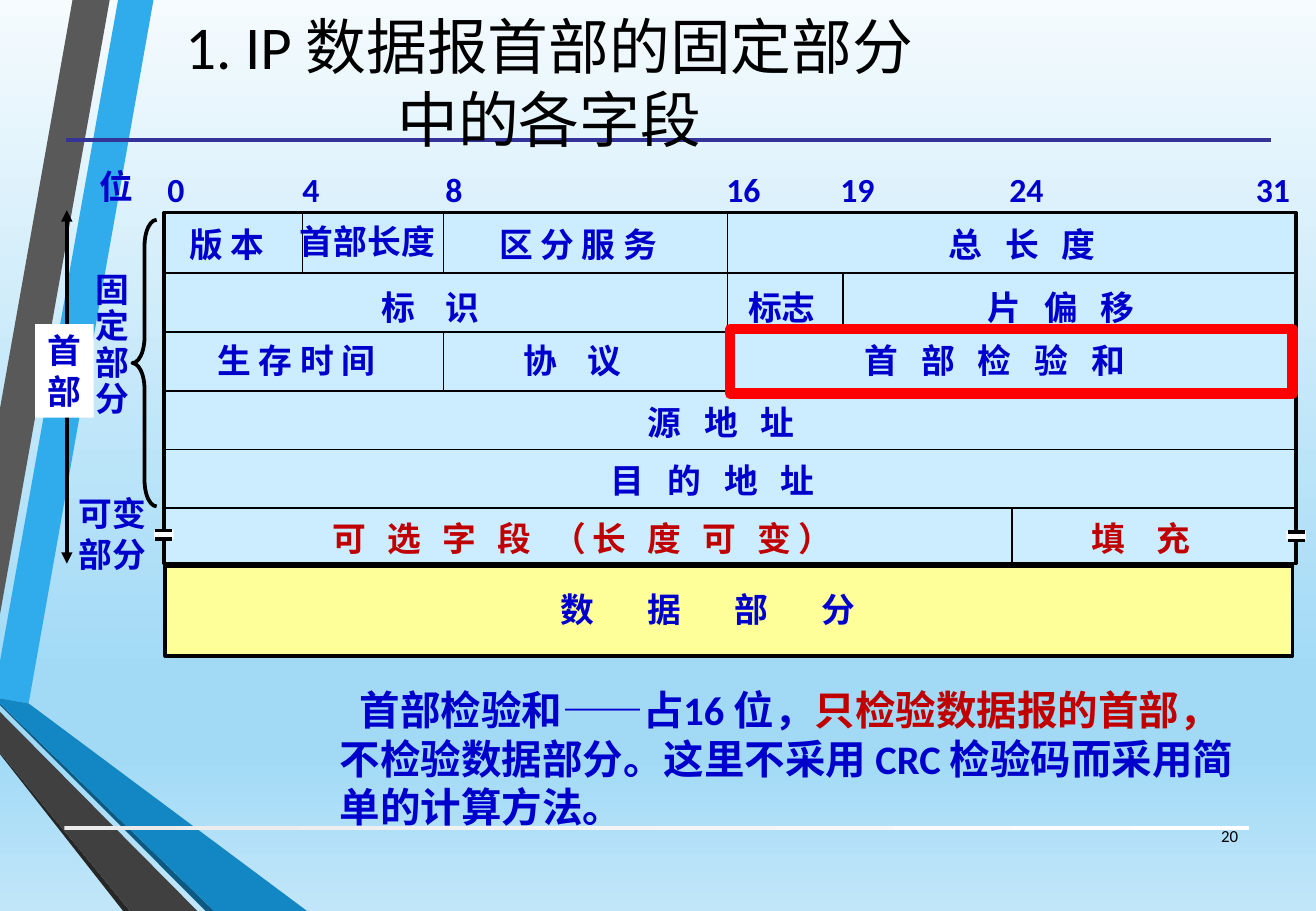
from typing import NamedTuple, Optional

from pptx import Presentation
from pptx.dml.color import RGBColor
from pptx.enum.shapes import MSO_CONNECTOR, MSO_SHAPE
from pptx.enum.text import MSO_ANCHOR, PP_ALIGN
from pptx.oxml import parse_xml
from pptx.oxml.ns import nsdecls, qn
from pptx.oxml.xmlchemy import OxmlElement
from pptx.shapes.autoshape import Shape
from pptx.shapes.connector import Connector
from pptx.text.text import TextFrame
from pptx.util import Pt

BLACK = RGBColor(0x00, 0x00, 0x00)
WHITE = RGBColor(0xFF, 0xFF, 0xFF)
BLUE = RGBColor(0x00, 0x00, 0xCC)
DARK_RED = RGBColor(0xC0, 0x00, 0x00)
RED = RGBColor(0xFF, 0x00, 0x00)
NAVY = RGBColor(0x33, 0x33, 0x99)
PALE_BLUE = RGBColor(0xCC, 0xEC, 0xFF)
PALE_YELLOW = RGBColor(0xFF, 0xFF, 0x99)
PALE_GREY = RGBColor(0xEB, 0xEB, 0xEB)
FONT = "Calibri"
SKY = [(0, "F5FBFE"), (74, "A2DAF6"), (83, "A2DAF6"), (100, "C1E6F9")]


class Ribbon(NamedTuple):
    color: RGBColor
    points: list[tuple[int, int]]


class Label(NamedTuple):
    text: str
    left: float
    top: float
    width: float
    height: float = 31
    color: RGBColor = BLUE
    tracking: float = 0
    line_spacing: Optional[float] = None
    wrap: bool = False


class Divider(NamedTuple):
    x: float
    first_row: int
    last_row: int


RIBBONS = [
    Ribbon(RGBColor(0x30, 0xAC, 0xEC), [(0, 392), (0, 414), (17, 417), (91, 0), (70, 0)]),
    Ribbon(RGBColor(0x59, 0x59, 0x59), [(65, 0), (43, 0), (0, 242), (0, 364)]),
    Ribbon(RGBColor(0x26, 0x26, 0x26), [(0, 446), (0, 447), (73, 540), (77, 540)]),
    Ribbon(RGBColor(0x0C, 0x5A, 0x82), [(0, 417), (0, 418), (122, 540), (127, 540)]),
    Ribbon(RGBColor(0x12, 0x87, 0xC3), [(0, 417), (127, 540), (182, 540), (17, 417), (0, 414)]),
    Ribbon(RGBColor(0x40, 0x40, 0x40), [(0, 446), (77, 540), (117, 540), (0, 422)]),
]

# Header grid: row edges and the dividers between fields
ROW_EDGES = [126.7] + [162 + 34.8 * row for row in range(5)] + [335]
DIVIDERS = [
    Divider(179.3, 0, 0), Divider(262.8, 0, 0), Divider(262.8, 2, 2),
    Divider(431.3, 0, 2), Divider(499.7, 1, 1), Divider(599.8, 5, 5),
]
BIT_LEFTS = {0: 92.2, 4: 172.1, 8: 257, 16: 423.4, 19: 491, 24: 591.1, 31: 737.3}

LABELS = [
    Label("固\n定\n部\n分", 49.7, 158.4, 34.6, 94.3, line_spacing=0.9),
    Label("可变\n部分", 39.6, 288.7, 54.7, 55.4),
    Label("位", 51.8, 95, 34.6),
    Label("版 本", 105.1, 128.9, 60.5),
    Label("首部长度", 170.6, 127.4, 95),
    Label("区 分 服 务", 288.7, 128.9, 112.3),
    Label("总 长 度", 555.1, 128.9, 108.7, tracking=4.5),
    Label("标 识", 218.9, 166.3, 77, tracking=6.8),
    Label("标志", 436.3, 166.3, 54.7),
    Label("片 偏 移", 578.2, 166.3, 108.7, tracking=4.5),
    Label("生 存 时 间", 121.7, 198, 112.3),
    Label("协 议", 303.1, 198, 77, tracking=6.8),
    Label("首 部 检 验 和", 505.4, 198, 182.9, tracking=4.5),
    Label("源 地 址", 376.6, 234.7, 108.7, tracking=4.5),
    Label("目 的 地 址", 355, 269.3, 145.4, tracking=4.5),
    Label("可 选 字 段 （长 度 可 变）", 190.1, 303.1, 328.3, color=DARK_RED, tracking=4),
    Label("填 充", 640.1, 303.1, 77, color=DARK_RED, tracking=6.8),
    Label("数 据 部 分", 325.4, 345.6, 248.4, tracking=13.5, wrap=True),
] + [Label(str(bit), left, 96.5, 25.9 if bit < 10 else 36.7) for bit, left in BIT_LEFTS.items()]

prs = Presentation()
prs.slide_width, prs.slide_height = Pt(780), Pt(540)
slide = prs.slides.add_slide(prs.slide_layouts[5])
shapes = slide.shapes


def add_box(left: float, top: float, width: float, height: float,
            fill: Optional[RGBColor] = None, line: Optional[RGBColor] = None,
            weight: float = 1, kind: MSO_SHAPE = MSO_SHAPE.RECTANGLE) -> Shape:
    box = shapes.add_shape(kind, Pt(left), Pt(top), Pt(width), Pt(height))
    box.shadow.inherit = False
    if fill is None:
        box.fill.background()
    else:
        box.fill.solid()
        box.fill.fore_color.rgb = fill
    if line is None:
        box.line.fill.background()
    else:
        box.line.color.rgb = line
        box.line.width = Pt(weight)
    return box


def add_line(x1: float, y1: float, x2: float, y2: float,
             weight: float = 1, color: RGBColor = BLACK) -> Connector:
    line = shapes.add_connector(MSO_CONNECTOR.STRAIGHT, Pt(x1), Pt(y1), Pt(x2), Pt(y2))
    line.line.color.rgb = color
    line.line.width = Pt(weight)
    line.element.spPr.append(OxmlElement("a:effectLst"))
    return line


def format_text(frame: TextFrame, size: float, color: Optional[RGBColor] = None,
                bold: bool = True, align: PP_ALIGN = PP_ALIGN.LEFT) -> None:
    for paragraph in frame.paragraphs:
        paragraph.alignment = align
        paragraph.font.name = FONT
        paragraph.font.size = Pt(size)
        paragraph.font.bold = bold
        if color is not None:
            paragraph.font.color.rgb = color


def add_label(label: Label) -> None:
    box = shapes.add_textbox(Pt(label.left), Pt(label.top), Pt(label.width), Pt(label.height))
    frame = box.text_frame
    frame.word_wrap = label.wrap
    frame.text = label.text
    format_text(frame, 20, label.color)
    for paragraph in frame.paragraphs:
        if label.line_spacing:
            paragraph.line_spacing = label.line_spacing
        if label.tracking:
            for run in paragraph.runs:
                run._r.get_or_add_rPr().set("spc", str(round(label.tracking * 100)))


# Background and side ribbons
slide.background.fill.gradient()
slide.background.fill.gradient_angle = 270
stops = slide.element.xpath(".//a:gsLst")[0]
for stop in list(stops):
    stops.remove(stop)
for percent, color in SKY:
    stops.append(parse_xml(
        f'<a:gs {nsdecls("a")} pos="{percent * 1000}"><a:srgbClr val="{color}"/></a:gs>'))
for ribbon in RIBBONS:
    builder = shapes.build_freeform(*ribbon.points[0], scale=Pt(1))
    builder.add_line_segments(ribbon.points[1:], close=True)
    band = builder.convert_to_shape()
    band.shadow.inherit = False
    band.fill.solid()
    band.fill.fore_color.rgb = ribbon.color
    band.line.fill.background()

# Rules under the title and above the page number
footer_rule = add_box(38.2, 489.6, 702, 2.2)
footer_rule.fill.gradient()
footer_rule.fill.gradient_angle = 0
for stop, color in zip(footer_rule.fill.gradient_stops, (PALE_GREY, WHITE)):
    stop.color.rgb = color
add_line(38.9, 82.8, 753.1, 82.8, 2.25, NAVY)

# Header grid and data part
add_box(97.2, 126, 671, 208.1, PALE_BLUE, BLACK, 2)
add_box(97.9, 335.5, 668.2, 53.3, PALE_YELLOW, BLACK, 2.25)
for edge in ROW_EDGES[1:-1]:
    add_line(96.5, edge, 769, edge)
for divider in DIVIDERS:
    add_line(divider.x, ROW_EDGES[divider.first_row], divider.x, ROW_EDGES[divider.last_row + 1])

# Break marks on both edges of the variable row
for mark_left, mark_top in ((91.4, 313.9), (762.5, 314.6)):
    add_box(mark_left, mark_top, 11.5, 5.4, WHITE)
    for offset in (0.7, 5.7):
        add_line(mark_left + 0.7, mark_top + offset, mark_left + 10.8, mark_top + offset, 2)

for label in LABELS:
    add_label(label)

# Extent of the header and brace of its fixed part
extent = add_line(39.6, 124.6, 39.6, 334.1, 2.25)
extent_line = extent.element.spPr.find(qn("a:ln"))
for end in ("a:headEnd", "a:tailEnd"):
    arrowhead = OxmlElement(end)
    arrowhead.set("type", "triangle")
    extent_line.append(arrowhead)
add_box(20.9, 192.2, 34.6, 55.4, WHITE)
add_label(Label("首\n部", 20.9, 192.2, 34.6, 55.4))
brace = add_box(78.5, 130.3, 14.4, 169.9, None, BLACK, 2.25, MSO_SHAPE.LEFT_BRACE)
brace.adjustments[0], brace.adjustments[1] = 1.08, 0.5

# Checksum explanation and highlight
explanation = shapes.add_textbox(Pt(194.4), Pt(402.5), Pt(547.2), Pt(94.3)).text_frame
explanation.word_wrap = True
opening, method = explanation.paragraphs[0], explanation.add_paragraph()
for paragraph, text, color in (
    (opening, "首部检验和——占16 位，", BLUE),
    (opening, "只检验数据报的首部，", DARK_RED),
    (method, "不检验数据部分。这里不采用 CRC 检验码而采用简单的计算方法。", BLUE),
):
    run = paragraph.add_run()
    run.text = text
    run.font.color.rgb = color
format_text(explanation, 24)
opening.alignment = PP_ALIGN.CENTER
add_box(432.7, 195.1, 333.4, 38.2, None, RED, 6)

# Title, in front of its rule, and page number
title = shapes.title
title.left, title.top, title.width, title.height = Pt(31), Pt(3.6), Pt(589), Pt(89.3)
title.text_frame.text = "1. IP 数据报首部的固定部分\v中的各字段"
title.text_frame.vertical_anchor = MSO_ANCHOR.MIDDLE
format_text(title.text_frame, 36, BLACK, False, PP_ALIGN.CENTER)
shapes.element.append(title.element)
page_number = shapes.add_textbox(Pt(704.2), Pt(481), Pt(36.7), Pt(28.8)).text_frame
page_number.word_wrap = True
page_number.text = "20"
page_number.vertical_anchor = MSO_ANCHOR.MIDDLE
format_text(page_number, 10, BLACK, False, PP_ALIGN.RIGHT)

prs.save("out.pptx")
